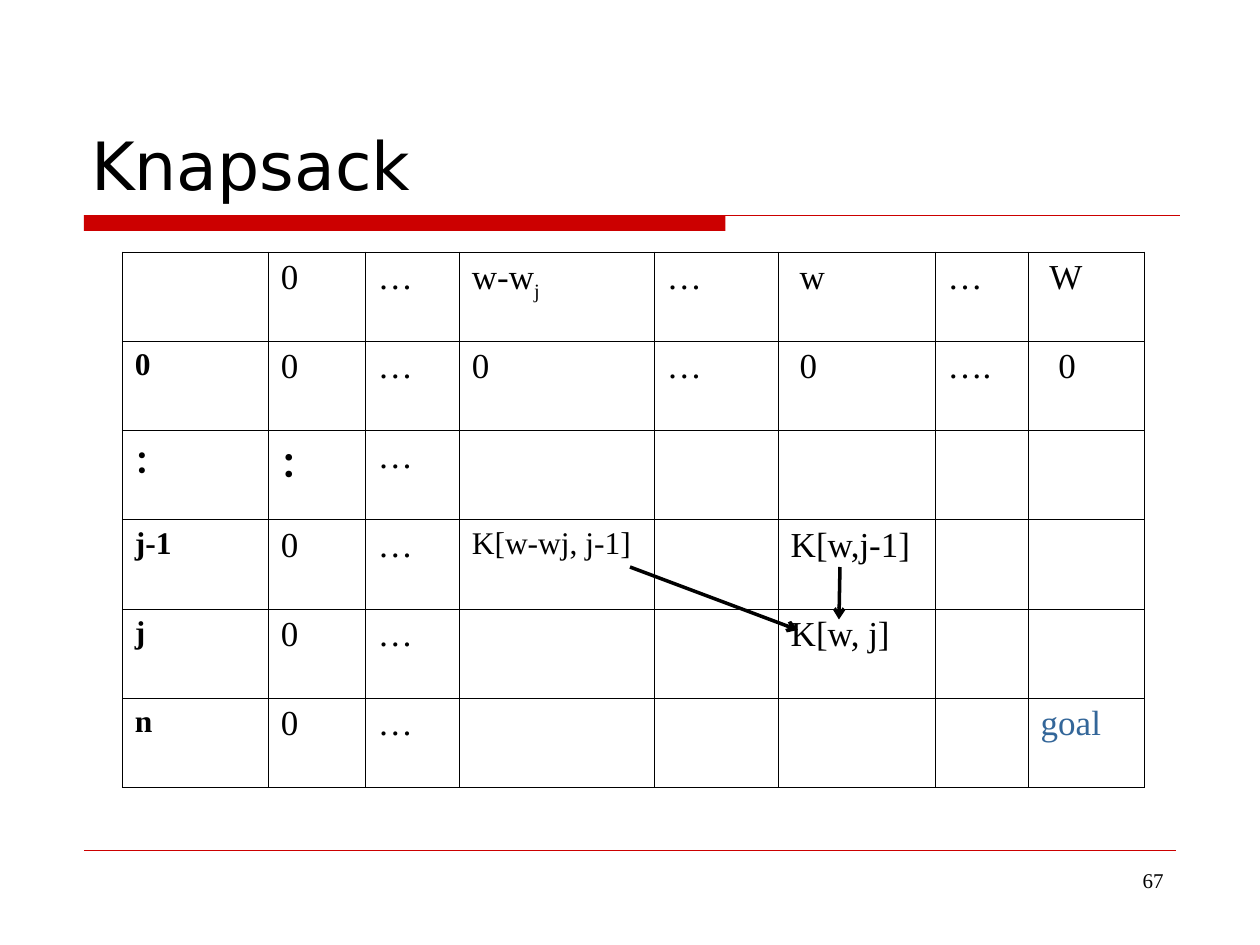
from pptx import Presentation
from pptx.dml.color import RGBColor
from pptx.enum.shapes import MSO_CONNECTOR as Connector, MSO_SHAPE as Shape
from pptx.enum.text import MSO_ANCHOR as Anchor, PP_ALIGN as Align
from pptx.oxml import parse_xml
from pptx.oxml.ns import nsdecls
from pptx.util import Inches, Pt

BLACK, RED, BLUE = "000000", "CC0000", "336699"
BODY, HEADING = "Times New Roman", "DejaVu Sans"

COLUMN_WIDTHS = [13.9, 9.24, 8.95, 18.57, 11.81, 14.95, 8.86, 11.05]
ROW_HEIGHT = 8.5
ROWS = [
    ["", "0", "…", "w-w_j", "…", "w", "…", "W"],
    ["0", "0", "…", "0", "…", "0", "….", "0"],
    ["：", "：", "…"],
    ["j-1", "0", "…", "K[w-wj, j-1]", "", "K[w,j-1]"],
    ["j", "0", "…", "", "", "K[w, j]"],
    ["n", "0", "…", "", "", "", "", "goal"],
]
# Extra left margin in inches, by (row, column)
INDENTS = {(0, 5): 0.07, (0, 7): 0.07, (1, 5): 0.07, (1, 7): 0.14}


def color(value):
    return RGBColor.from_string(value)


def grid(units):
    """Length of grid units; the slide is 120 columns by 90 rows."""
    return Inches(units / 12)


class SlideBuilder:
    def __init__(self, presentation):
        self.slide = presentation.slides.add_slide(presentation.slide_layouts[6])
        self.shapes = self.slide.shapes

    def style(self, font, size, name=BODY, ink=BLACK, bold=False):
        font.name, font.size, font.bold = name, Pt(size), bold
        font.color.rgb = color(ink)

    def bar(self, left, top, width, height, fill):
        shape = self.shapes.add_shape(Shape.RECTANGLE, *map(grid, (left, top, width, height)))
        shape.shadow.inherit = False
        shape.fill.solid()
        shape.fill.fore_color.rgb = color(fill)
        shape.line.fill.background()

    def line(self, start, end, ink, width, arrow=False):
        connector = self.shapes.add_connector(Connector.STRAIGHT, *map(grid, start + end))
        connector.line.color.rgb = color(ink)
        connector.line.width = Pt(width)
        properties = connector._element.spPr
        if arrow:
            properties.get_or_add_ln().append(
                parse_xml(f'<a:tailEnd {nsdecls("a")} type="arrow"/>'))
        properties.append(parse_xml(f'<a:effectLst {nsdecls("a")}/>'))

    def text(self, words, left, top, width, height, size, name=BODY,
             align=Align.LEFT, anchor=Anchor.TOP):
        box = self.shapes.add_textbox(*map(grid, (left, top, width, height)))
        frame = box.text_frame
        frame.word_wrap = True
        frame.vertical_anchor = anchor
        paragraph = frame.paragraphs[0]
        paragraph.text = words
        paragraph.alignment = align
        self.style(paragraph.font, size, name)

    def cell(self, cell, words, indent=0, **font):
        """Fill a cell; an underscore in words starts a subscript."""
        cell.fill.background()
        cell.margin_left = Inches(0.1 + indent)
        properties = cell._tc.get_or_add_tcPr()
        for position, side in enumerate(("lnL", "lnR", "lnT", "lnB")):
            properties.insert(position, parse_xml(
                f'<a:{side} {nsdecls("a")} w="{Pt(0.45)}"><a:solidFill>'
                f'<a:srgbClr val="{BLACK}"/></a:solidFill></a:{side}>'))
        paragraph = cell.text_frame.paragraphs[0]
        self.style(paragraph.font, **font)
        base, _, subscript = words.partition("_")
        if base:
            paragraph.add_run().text = base
        if subscript:
            run = paragraph.add_run()
            run.text = subscript
            run._r.get_or_add_rPr().set("baseline", "-25000")

    def table(self, left, top, rows, widths, row_height):
        frame = self.shapes.add_table(
            len(rows), len(widths), grid(left), grid(top),
            grid(sum(widths)), grid(row_height * len(rows)))
        table = frame.table
        table.first_row = table.horz_banding = False
        for column, width in zip(table.columns, widths):
            column.width = grid(width)
        for r, words in enumerate(rows):
            table.rows[r].height = grid(row_height)
            for c in range(len(widths)):
                value = words[c] if c < len(words) else ""
                self.cell(table.cell(r, c), value, INDENTS.get((r, c), 0),
                          size=18 if c == 0 or value == "K[w-wj, j-1]" else 20,
                          bold=c == 0 or value == "：",
                          ink=BLUE if value == "goal" else BLACK)


def main():
    presentation = Presentation()
    presentation.slide_width, presentation.slide_height = grid(120), grid(90)
    builder = SlideBuilder(presentation)
    builder.bar(8, 20.5, 61.1, 1.5, RED)
    builder.line((8, 20.5), (112.4, 20.5), RED, 0.75)
    builder.line((8, 81), (112, 81), RED, 0.25)
    builder.text("67", 86, 82, 26, 6.25, 12, align=Align.RIGHT)
    builder.text("Knapsack", 7.5, 4, 105, 16, 38, HEADING, anchor=Anchor.BOTTOM)
    builder.table(11.65, 24, ROWS, COLUMN_WIDTHS, ROW_HEIGHT)
    builder.line((80, 54), (79.9, 59), BLACK, 2, arrow=True)
    builder.line((60, 54), (76, 60), BLACK, 2, arrow=True)
    presentation.save("out.pptx")


if __name__ == "__main__":
    main()
